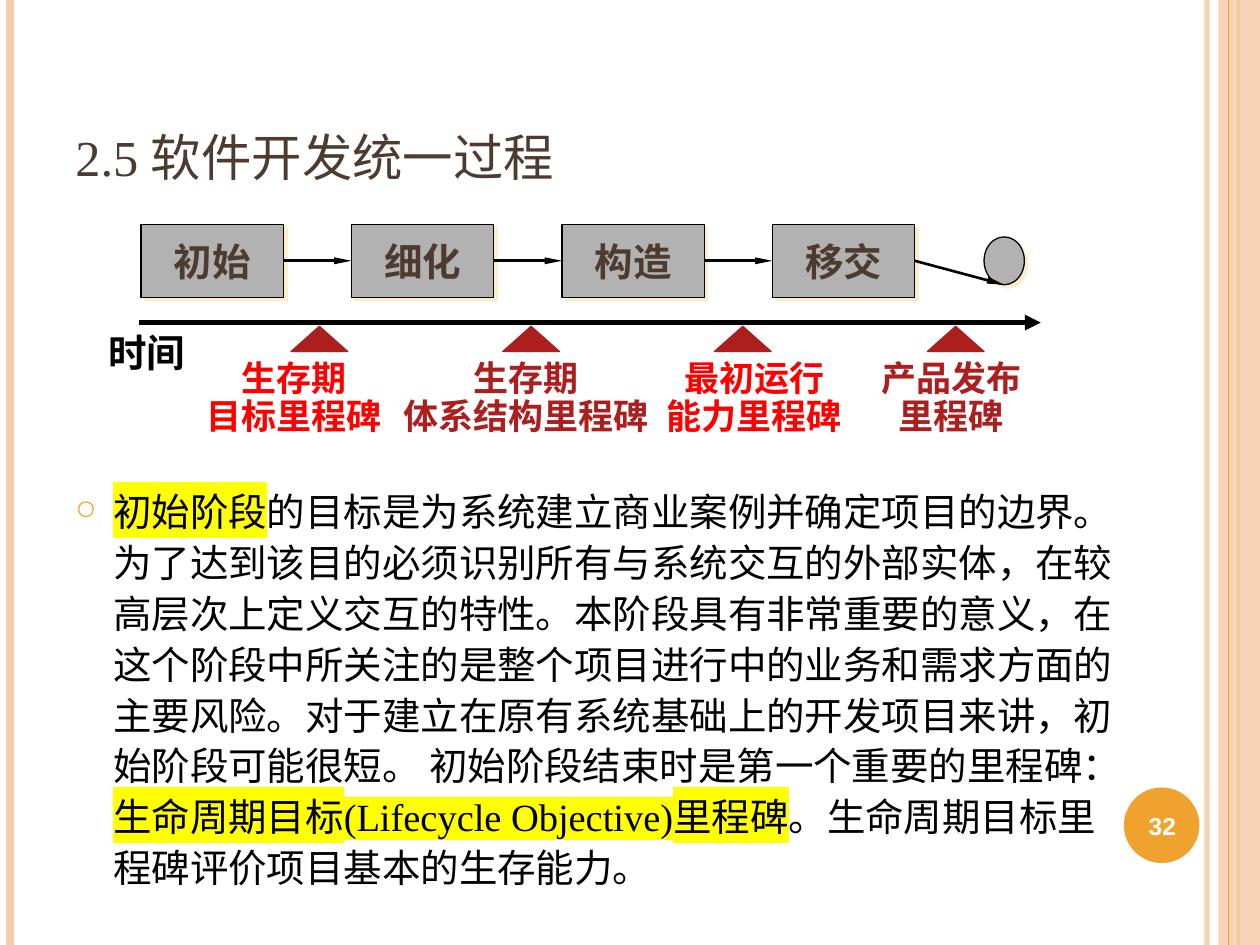
import pptx
import pptx.util
import pptx.dml.color
import pptx.enum.shapes
import pptx.enum.text
import pptx.oxml
import pptx.oxml.ns
from lxml import etree

Inches, Pt = pptx.util.Inches, pptx.util.Pt
SHAPE = pptx.enum.shapes.MSO_SHAPE
ALIGN = pptx.enum.text.PP_ALIGN
ANCHOR = pptx.enum.text.MSO_ANCHOR
qn = pptx.oxml.ns.qn

COLORS = {
    "peach": "F6CEAD", "orange": "F0A22E", "brown": "4E3B30",
    "black": "000000", "white": "FFFFFF", "gray": "B2B2B2",
    "shadow": "FBEEC9", "dark_red": "AD1F1F", "red": "FF0000",
    "yellow": "FFFF00",
}


def rgb(name):
    return pptx.dml.color.RGBColor.from_string(COLORS[name])


def add_xml(parent, tag, **attrs):
    return etree.SubElement(parent, qn(tag), attrs)


def set_alpha(fill, percent):
    clr = fill._xPr.find(".//" + qn("a:srgbClr"))
    add_xml(clr, "a:alpha", val=str(percent * 1000))


class SlideBuilder:
    def __init__(self, slide, font="Times New Roman"):
        self.slide = slide
        self.font = font

    def style(self, p, size, color, bold=False, font=None):
        p.font.size = Pt(size)
        p.font.bold = bold
        p.font.name = font or self.font
        p.font.color.rgb = rgb(color)

    def shape(self, kind, x, y, w, h, fill, line=None, alpha=None, shadow=False):
        sp = self.slide.shapes.add_shape(
            kind, Inches(x), Inches(y), Inches(w), Inches(h))
        sp.shadow.inherit = False
        sp.fill.solid()
        sp.fill.fore_color.rgb = rgb(fill)
        if alpha:
            set_alpha(sp.fill, alpha)
        if line:
            sp.line.color.rgb = rgb(line)
            sp.line.width = Pt(0.75)
        else:
            sp.line.fill.background()
        if shadow:
            effects = sp._element.spPr.find(qn("a:effectLst"))
            outer = add_xml(effects, "a:outerShdw", dist=str(Pt(2.8)),
                            dir="2700000", algn="ctr", rotWithShape="0")
            add_xml(outer, "a:srgbClr", val=COLORS["shadow"])
        return sp

    def line(self, x1, y1, x2, y2, color, width, alpha=None, head=None):
        """head is the (width, length) of an arrowhead at the end."""
        cx = self.slide.shapes.add_connector(
            pptx.enum.shapes.MSO_CONNECTOR.STRAIGHT,
            Inches(x1), Inches(y1), Inches(x2), Inches(y2))
        cx.line.color.rgb = rgb(color)
        cx.line.width = Pt(width)
        if alpha:
            set_alpha(cx.line.fill, alpha)
        if head:
            add_xml(cx.line._get_or_add_ln(), "a:tailEnd",
                    type="triangle", w=head[0], len=head[1])
        add_xml(cx._element.spPr, "a:effectLst")
        return cx

    def set_text(self, sp, lines, size, color, bold=True, font=None, wrap=False,
                 align=ALIGN.CENTER, anchor=ANCHOR.TOP, spacing=None):
        tf = sp.text_frame
        tf.word_wrap = wrap
        tf.vertical_anchor = anchor
        for i, line in enumerate(lines):
            p = tf.add_paragraph() if i else tf.paragraphs[0]
            p.add_run().text = line
            p.alignment = align
            if spacing:
                p.line_spacing = spacing
            self.style(p, size, color, bold, font)
        return tf

    def text(self, x, y, w, h, lines, size, color, **options):
        sp = self.slide.shapes.add_textbox(
            Inches(x), Inches(y), Inches(w), Inches(h))
        return self.set_text(sp, lines, size, color, **options)

    def bullet_text(self, x, y, w, h, runs, size, color):
        """runs are (text, highlighted) pairs of one bulleted paragraph."""
        tf = self.slide.shapes.add_textbox(
            Inches(x), Inches(y), Inches(w), Inches(h)).text_frame
        tf.word_wrap = True
        p = tf.paragraphs[0]
        p.line_spacing = 1.1
        pPr = p._p.get_or_add_pPr()
        pPr.set("marL", str(Inches(0.3)))
        pPr.set("indent", str(-Inches(0.3)))
        add_xml(add_xml(pPr, "a:buClr"), "a:srgbClr", val=COLORS["orange"])
        add_xml(pPr, "a:buSzPct", val="70000")
        add_xml(pPr, "a:buChar", char="○")
        self.style(p, size, color)
        for text, highlighted in runs:
            r = p.add_run()
            r.text = text
            if highlighted:
                mark = add_xml(r._r.get_or_add_rPr(), "a:highlight")
                add_xml(mark, "a:srgbClr", val=COLORS["yellow"])


def add_frame(b):
    for x, color, width, alpha in [(9.58, "peach", 3, 93), (0.08, "peach", 4.5, None),
                                   (9.83, "orange", 1.5, None)]:
        b.line(x, 0, x, 7.5, color, width, alpha)
    b.shape(SHAPE.RECTANGLE, 9.67, 0, 0.33, 7.5, "peach", alpha=87)
    b.line(9.75, 0, 9.75, 7.5, "orange", 0.75)
    b.shape(SHAPE.OVAL, 8.92, 6.25, 0.6, 0.6, "orange")
    b.text(8.89, 6.27, 0.67, 0.57, ["32"], 14, "white", font="Arial",
           wrap=True, anchor=ANCHOR.MIDDLE)


def add_phases(b):
    left, step, top, width, height = 1.12, 1.67, 1.78, 1.13, 0.58
    middle = top + height / 2
    nodes = []
    for i, name in enumerate(["初始", "细化", "构造", "移交"]):
        sp = b.shape(SHAPE.RECTANGLE, left + i * step, top, width, height,
                     "gray", "black", shadow=True)
        b.set_text(sp, [name], 22, "brown", anchor=ANCHOR.MIDDLE)
        nodes.append(sp)
    nodes.append(b.shape(SHAPE.OVAL, 7.81, middle - 0.19, 0.32, 0.38,
                         "gray", "black", shadow=True))
    for i, (start, end) in enumerate(zip(nodes, nodes[1:])):
        x = left + i * step
        cx = b.line(x + width, middle, x + step, middle, "black", 1.5,
                    head=("sm", "lg"))
        cx.begin_connect(start, 3)
        cx.end_connect(end, 2 if end is nodes[-1] else 1)


def add_milestones(b):
    b.line(1.1, 2.56, 8.26, 2.56, "black", 3, head=("med", "med"))
    b.text(0.76, 2.56, 0.81, 0.47, ["时间"], 22, "black")
    for marker_x, x, w, color, lines in [
        (2.31, 1.54, 1.59, "red", ["生存期", "目标里程碑"]),
        (3.99, 3.1, 2.15, "dark_red", ["生存期", "体系结构里程碑"]),
        (5.67, 5.19, 1.59, "red", ["最初运行", "能力里程碑"]),
        (7.36, 6.89, 1.32, "dark_red", ["产品发布", "里程碑"]),
    ]:
        b.shape(SHAPE.ISOSCELES_TRIANGLE, marker_x, 2.59, 0.45, 0.2,
                "dark_red", "dark_red")
        b.text(x, 2.82, w, 0.7, lines, 20, color, spacing=0.9)


def main():
    prs = pptx.Presentation()
    prs.slide_width, prs.slide_height = Inches(10), Inches(7.5)
    b = SlideBuilder(prs.slides.add_slide(prs.slide_layouts[6]))
    add_frame(b)
    title = b.text(0.5, 0.3, 8.17, 1.25, ["2.5 软件开发统一过程"], 36, "brown",
                   bold=False, wrap=True, align=ALIGN.LEFT, anchor=ANCHOR.BOTTOM)
    title.paragraphs[0].runs[0]._r.get_or_add_rPr().set("cap", "small")
    b.bullet_text(0.5, 3.79, 8.55, 3.29, [
        ("初始阶段", True),
        ("的目标是为系统建立商业案例并确定项目的边界。为了达到该目的必须识别所有"
         "与系统交互的外部实体，在较高层次上定义交互的特性。本阶段具有非常重要的意义，"
         "在这个阶段中所关注的是整个项目进行中的业务和需求方面的主要风险。"
         "对于建立在原有系统基础上的开发项目来讲，初始阶段可能很短。 "
         "初始阶段结束时是第一个重要的里程碑：", False),
        ("生命周期目标(Lifecycle Objective)里程碑", True),
        ("。生命周期目标里程碑评价项目基本的生存能力。", False),
    ], 22, "black")
    add_phases(b)
    add_milestones(b)
    prs.save("out.pptx")


if __name__ == "__main__":
    main()
